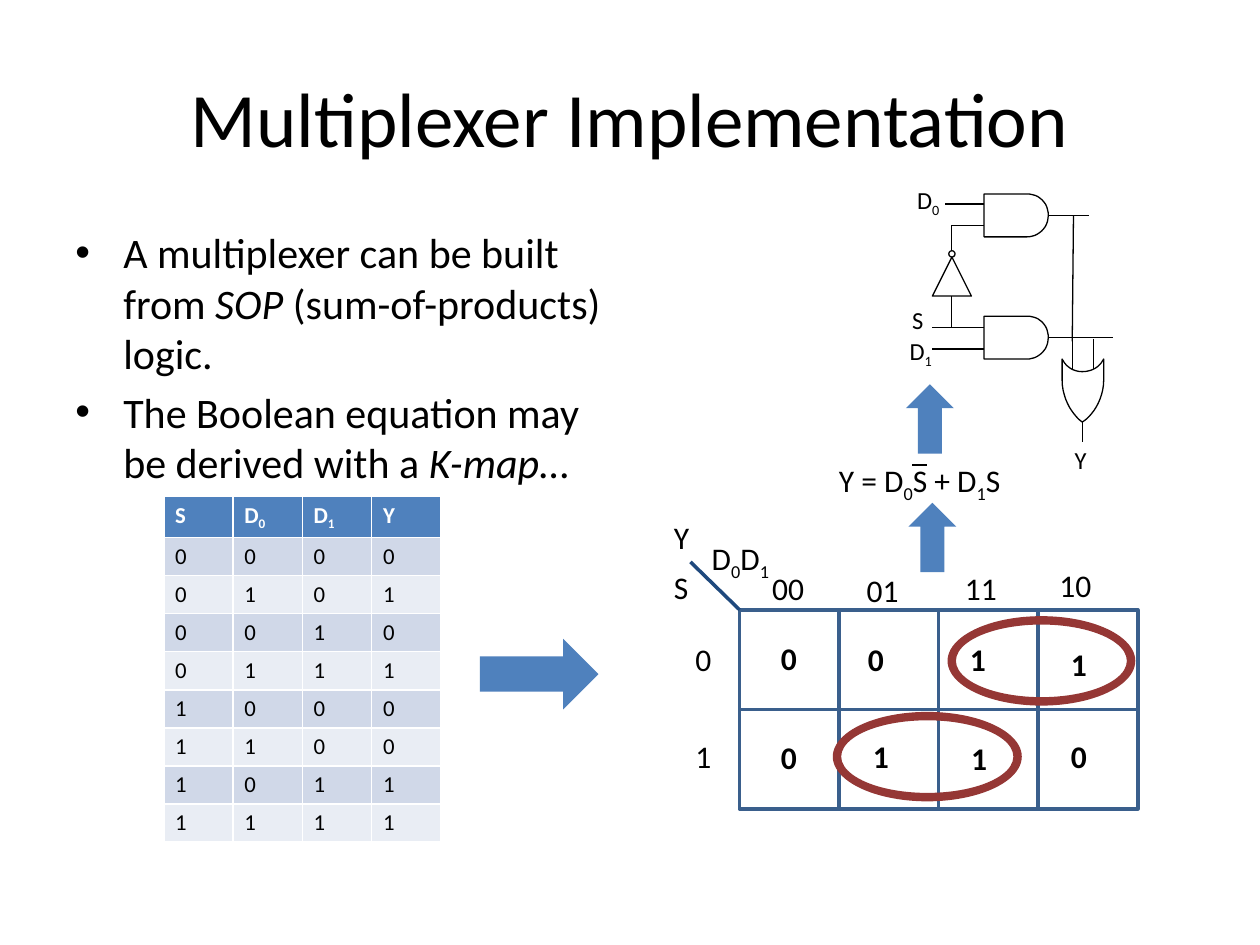
from lxml.etree import SubElement
from pptx import Presentation
from pptx.dml.color import RGBColor
from pptx.enum.shapes import MSO_CONNECTOR, MSO_SHAPE
from pptx.enum.text import MSO_ANCHOR, MSO_AUTO_SIZE, PP_ALIGN
from pptx.oxml.ns import qn
from pptx.util import Inches, Pt

HUES = {"ink": "000000", "paper": "FFFFFF", "blue": "4F81BD", "edge": "3A5F8C",
        "navy": "1F497D", "red": "953735", "odd": "D0D8E8", "even": "E9EDF4"}

# Text runs are split by "|"; a run led by "_" is a subscript, by "*" italic.
TITLE = "Multiplexer Implementation"
POINTS = ["A multiplexer can be built from |*SOP| (sum-of-products) logic.",
          "The Boolean equation may be derived with a |*K-map|…"]
HEAD = ["S", "D|_0", "D|_1", "Y"]
TRUTH = ["0000", "0101", "0010", "0111", "1000", "1100", "1011", "1111"]

# Labels: text, left, top, width
ONES = [("0", 6.1, 5.02), ("0", 6.79, 5.03), ("1", 7.6, 5.03), ("1", 8.4, 5.07),
        ("0", 6.1, 5.81), ("1", 6.83, 5.8), ("1", 7.61, 5.82), ("0", 8.4, 5.8)]
AXES = [("00", 6.03, 4.47, 1.02), ("01", 6.78, 4.48, 1.02), ("11", 7.56, 4.47, 1.02),
        ("10", 8.31, 4.44, 1.02), ("0", 5.42, 5.03, 0.33), ("1", 5.42, 5.8, 1.02),
        ("S", 5.25, 4.46, 1.02), ("Y", 5.25, 4.06, 1.02),
        ("D|_0|D|_1", 5.55, 4.23, 1.02), ("Y = D|_0|S + D|_1|S", 6.56, 3.61, 2.3)]
PINS = [("D|_0", 7.18, 1.42), ("D|_1", 7.12, 2.62), ("Y", 8.43, 3.48), ("S", 7.14, 2.37)]

MAP = {"left": 5.87, "top": 4.84, "side": 0.79, "cols": 4, "rows": 2}
ARROWS = [(MSO_SHAPE.RIGHT_ARROW, 3.81, 5.07, 0.94, 0.56),
          (MSO_SHAPE.UP_ARROW, 7.21, 3.99, 0.38, 0.55),
          (MSO_SHAPE.UP_ARROW, 7.19, 3.05, 0.38, 0.55)]
RINGS = [(7.52, 4.89, 1.49, 0.71), (6.61, 5.65, 1.5, 0.71)]

# Gate outlines: a pair is a straight step, six numbers are a Bezier step.
AND = [(0.34, 0), (0.44, 0, 0.51, 0.07, 0.51, 0.17), (0.51, 0.27, 0.43, 0.34, 0.34, 0.34),
       (0, 0.34), (0, 0)]
OR = [(0.33, 0.17), (0.33, 0.33, 0.23, 0.46, 0.16, 0.5), (0.1, 0.46, 0, 0.33, 0, 0.17),
      (0, 0), (0.02, 0.04, 0.07, 0.1, 0.16, 0.1), (0.26, 0.1, 0.31, 0.04, 0.33, 0)]
GATES = [(AND, 7.81, 1.54), (AND, 7.81, 2.51), (OR, 8.43, 2.85)]
WIRES = [(7.5, 1.62, 7.81, 1.62), (7.55, 1.79, 7.81, 1.79), (7.55, 1.79, 7.55, 1.99),
         (7.55, 2.35, 7.55, 2.6), (7.4, 2.6, 7.81, 2.6), (7.4, 2.77, 7.81, 2.77),
         (8.32, 1.71, 8.64, 1.71), (8.32, 2.68, 8.83, 2.68), (8.52, 1.71, 8.51, 2.71),
         (8.51, 2.69, 8.51, 2.93), (8.68, 2.69, 8.68, 2.93), (8.59, 3.35, 8.59, 3.51)]
BAR = (7.24, 3.69, 7.36, 3.69)
SLANT = (5.87, 4.84, 5.48, 4.46)

deck = Presentation()
deck.slide_width, deck.slide_height = Inches(10), Inches(7.5)
slide = deck.slides.add_slide(deck.slide_layouts[6])
shapes = slide.shapes


def hue(name):
    return RGBColor.from_string(HUES[name])


def write(para, text, size, tint="ink", bold=False):
    for part in text.split("|"):
        run = para.add_run()
        run.text = part.lstrip("_*")
        look = {"name": "Calibri", "size": Pt(size), "bold": bold,
                "italic": part.startswith("*")}
        for key, val in look.items():
            setattr(run.font, key, val)
        run.font.color.rgb = hue(tint)
        if part.startswith("_"):
            run.font._element.set("baseline", "-25000")


def frame(x, y, wide, high):
    text = shapes.add_textbox(*map(Inches, (x, y, wide, high))).text_frame
    text.word_wrap = True
    return text


def label(text, x, y, wide, size=18, bold=False):
    box = frame(x, y, wide, 0.34 if size < 18 else 0.4)
    box.auto_size = MSO_AUTO_SIZE.SHAPE_TO_FIT_TEXT
    write(box.paragraphs[0], text, size, bold=bold)


def paint(shape, fill=None, line=None, width=0.75):
    shape.shadow.inherit = False
    for part, tint in ((shape.fill, fill), (shape.line.fill, line)):
        if tint:
            part.solid()
            part.fore_color.rgb = hue(tint)
        else:
            part.background()
    if line:
        shape.line.width = Pt(width)


def form(kind, box, **look):
    shape = shapes.add_shape(kind, *map(Inches, box))
    paint(shape, **look)
    return shape


def wire(ends, tint="ink", width=0.75):
    line = shapes.add_connector(MSO_CONNECTOR.STRAIGHT, *map(Inches, ends))
    line.line.color.rgb = hue(tint)
    line.line.width = Pt(width)
    SubElement(line._element.spPr, qn("a:effectLst"))


def trace(steps, count=12):
    """Turn the steps of an outline into points."""
    spots = [steps[0]]
    for step in steps[1:]:
        if len(step) == 2:
            spots.append(step)
            continue
        knots = [spots[-1], step[:2], step[2:4], step[4:]]
        for t in (i / count for i in range(1, count + 1)):
            mix = ((1 - t) ** 3, 3 * t * (1 - t) ** 2, 3 * t * t * (1 - t), t ** 3)
            spots.append(tuple(sum(m * k[a] for m, k in zip(mix, knots)) for a in (0, 1)))
    return spots


def gate(steps, x, y):
    spots = [((x + a) * 1000, (y + b) * 1000) for a, b in trace(steps)]
    pen = shapes.build_freeform(*spots[0], scale=Inches(1) / 1000)
    pen.add_line_segments(spots[1:], close=True)
    paint(pen.convert_to_shape(), "paper", "ink")


# Title and points
top = frame(0.5, 0.3, 9, 1.25)
top.vertical_anchor = MSO_ANCHOR.MIDDLE
top.paragraphs[0].alignment = PP_ALIGN.CENTER
write(top.paragraphs[0], TITLE, 44)

body = frame(0.5, 1.75, 4.42, 4.95)
for i, point in enumerate(POINTS):
    para = body.add_paragraph() if i else body.paragraphs[0]
    para.space_before = Pt(4.8)
    prop = para._p.get_or_add_pPr()
    prop.set("marL", str(Inches(0.38)))
    prop.set("indent", str(-Inches(0.38)))
    SubElement(prop, qn("a:buFont")).set("typeface", "Arial")
    SubElement(prop, qn("a:buChar")).set("char", "•")
    write(para, point, 24)

# Truth table
rows = [HEAD] + TRUTH
grid = shapes.add_table(len(rows), len(HEAD), *map(Inches, (1.3, 3.94, 2.2, 2.72))).table
pads = {"margin_left": 0.09, "margin_right": 0.09, "margin_top": 0.04, "margin_bottom": 0.04}
for r, row in enumerate(rows):
    for c, text in enumerate(row):
        cell = grid.cell(r, c)
        for key, val in pads.items():
            setattr(cell, key, Inches(val))
        cell.fill.solid()
        cell.fill.fore_color.rgb = hue("blue" if r == 0 else "odd" if r % 2 else "even")
        write(cell.text_frame.paragraphs[0], text, 13, "ink" if r else "paper", r == 0)

# Karnaugh map
for text, x, y in ONES:
    label(text, x, y, 0.33, bold=True)
side = MAP["side"]
for r in range(MAP["rows"]):
    for c in range(MAP["cols"]):
        form(MSO_SHAPE.RECTANGLE, (MAP["left"] + c * side, MAP["top"] + r * side, side, side),
             line="edge", width=2)
wire(SLANT, "navy", 2)
for item in AXES:
    label(*item)
for box in RINGS:
    form(MSO_SHAPE.DONUT, box, fill="red").adjustments[0] = 0.094
for kind, *box in ARROWS:
    form(kind, box, fill="blue")
wire(BAR)

# Logic circuit
for item in GATES:
    gate(*item)
form(MSO_SHAPE.ISOSCELES_TRIANGLE, (7.4, 2.04, 0.31, 0.31), fill="paper", line="ink")
form(MSO_SHAPE.OVAL, (7.53, 1.99, 0.05, 0.05), fill="paper", line="ink")
for ends in WIRES:
    wire(ends)
for text, x, y in PINS:
    label(text, x, y, 1.11, 14)

deck.save("out.pptx")
